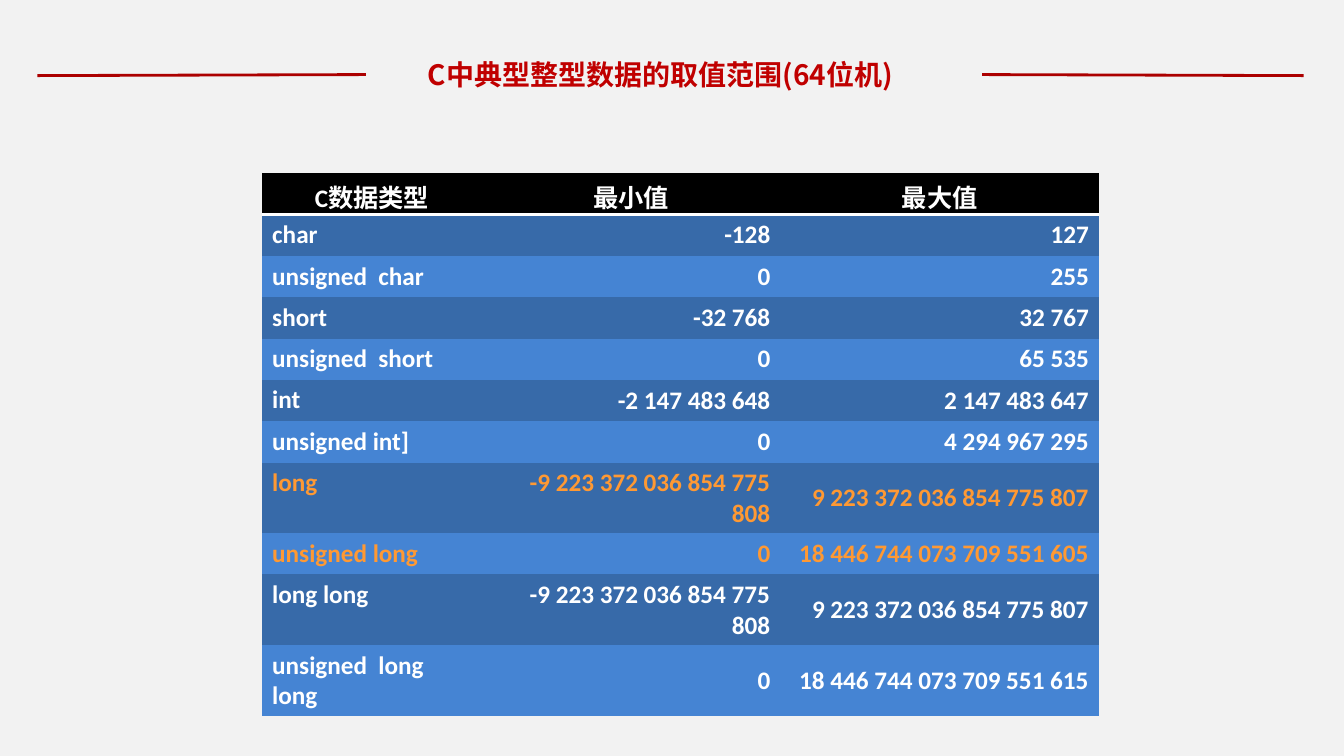
from pptx import Presentation
from pptx.dml.color import RGBColor
from pptx.enum.shapes import MSO_CONNECTOR
from pptx.enum.text import MSO_ANCHOR, PP_ALIGN
from pptx.oxml import parse_xml
from pptx.oxml.ns import nsdecls, qn
from pptx.util import Inches, Pt
from lxml import etree

LEFT, CENTER, RIGHT = PP_ALIGN.LEFT, PP_ALIGN.CENTER, PP_ALIGN.RIGHT
TOP, MIDDLE = MSO_ANCHOR.TOP, MSO_ANCHOR.MIDDLE
STRAIGHT = MSO_CONNECTOR.STRAIGHT

TITLE = "C中典型整型数据的取值范围(64位机)"
HEADER = ("C数据类型", "最小值", "最大值")
RANGES = [
    ("char", "-128", "127"),
    ("unsigned  char", "0", "255"),
    ("short", "-32 768", "32 767"),
    ("unsigned  short", "0", "65 535"),
    ("int", "-2 147 483 648", "2 147 483 647"),
    ("unsigned int]", "0", "4 294 967 295"),
    ("long", "-9 223 372 036 854 775 808", "9 223 372 036 854 775 807"),
    ("unsigned long", "0", "18 446 744 073 709 551 605"),
    ("long long", "-9 223 372 036 854 775 808", "9 223 372 036 854 775 807"),
    ("unsigned  long long", "0", "18 446 744 073 709 551 615"),
]
HIGHLIGHTED = {"long", "unsigned long"}
TITLE_RULES = [(0.37, 0.75, 3.63, 0.74), (9.74, 0.74, 12.93, 0.75)]
COLUMN_WIDTHS = (2.18, 2.96, 3.16)
ROW_HEIGHT, LAST_ROW_HEIGHT = 0.41, 0.7
PLAIN_TABLE_STYLE = "{2D5ABB26-0587-4C30-8999-92F81FD0307C}"

THEME = {
    "background": "F2F2F2", "title": "C00000", "rule": "AC0000",
    "header": "000000", "bands": ("376AA9", "4584D3"),
    "text": "FFFFFF", "highlight": "FF9933",
    "title_size": 20, "table_size": 18,
    "latin": "Calibri", "cjk": "Noto Sans CJK SC",
}


def rgb(key):
    return RGBColor.from_string(THEME[key])


def write(tf, text, *, size, color, font, align=LEFT):
    p = tf.paragraphs[0]
    p.alignment = align
    r = p.add_run()
    r.text = text
    r.font.size = Pt(THEME[size])
    r.font.bold = True
    r.font.color.rgb = rgb(color)
    r.font.name = THEME[font]
    ea = etree.SubElement(r.font._element, qn("a:ea"))
    ea.set("typeface", THEME["cjk"])


def add_title(s):
    sp = s.shapes.add_textbox(Inches(3.04), Inches(0.58), Inches(7.02), Inches(0.31))
    tf = sp.text_frame
    tf.word_wrap = True
    tf.vertical_anchor = MIDDLE
    tf.margin_top = tf.margin_bottom = 0
    write(tf, TITLE, size="title_size", color="title", font="cjk", align=CENTER)


def add_rule(s, ends):
    line = s.shapes.add_connector(STRAIGHT, *map(Inches, ends))
    line.line.color.rgb = rgb("rule")
    line.line.width = Pt(2)
    etree.SubElement(line._element.spPr, qn("a:effectLst"))


def add_header_border(cell):
    border = parse_xml(
        f'<a:lnB {nsdecls("a")} w="{Pt(2)}"><a:solidFill>'
        f'<a:srgbClr val="{THEME["text"]}"/></a:solidFill></a:lnB>')
    cell._tc.get_or_add_tcPr().insert(0, border)


def add_range_table(s):
    rows = [HEADER, *RANGES]
    heights = [ROW_HEIGHT] * (len(rows) - 1) + [LAST_ROW_HEIGHT]
    frame = s.shapes.add_table(
        len(rows), len(HEADER), Inches(2.6), Inches(1.72),
        Inches(sum(COLUMN_WIDTHS)), Inches(sum(heights)))
    table = frame.table
    table.horz_banding = False
    table._tbl.tblPr.find(qn("a:tableStyleId")).text = PLAIN_TABLE_STYLE
    for column, width in zip(table.columns, COLUMN_WIDTHS):
        column.width = Inches(width)
    for i, (values, height) in enumerate(zip(rows, heights)):
        table.rows[i].height = Inches(height)
        is_header = i == 0
        fill = THEME["header"] if is_header else THEME["bands"][(i - 1) % 2]
        color = "highlight" if values[0] in HIGHLIGHTED else "text"
        for j, value in enumerate(values):
            cell = table.cell(i, j)
            cell.fill.solid()
            cell.fill.fore_color.rgb = RGBColor.from_string(fill)
            cell.vertical_anchor = MIDDLE if is_header or j else TOP
            align = CENTER if is_header else RIGHT if j else LEFT
            write(cell.text_frame, value, size="table_size", color=color,
                  font="latin", align=align)
            if is_header:
                add_header_border(cell)


def main():
    prs = Presentation()
    prs.slide_width, prs.slide_height = Inches(13.33), Inches(7.5)
    s = prs.slides.add_slide(prs.slide_layouts[6])
    s.background.fill.solid()
    s.background.fill.fore_color.rgb = rgb("background")
    add_title(s)
    add_range_table(s)
    for ends in TITLE_RULES:
        add_rule(s, ends)
    prs.save("out.pptx")


if __name__ == "__main__":
    main()
